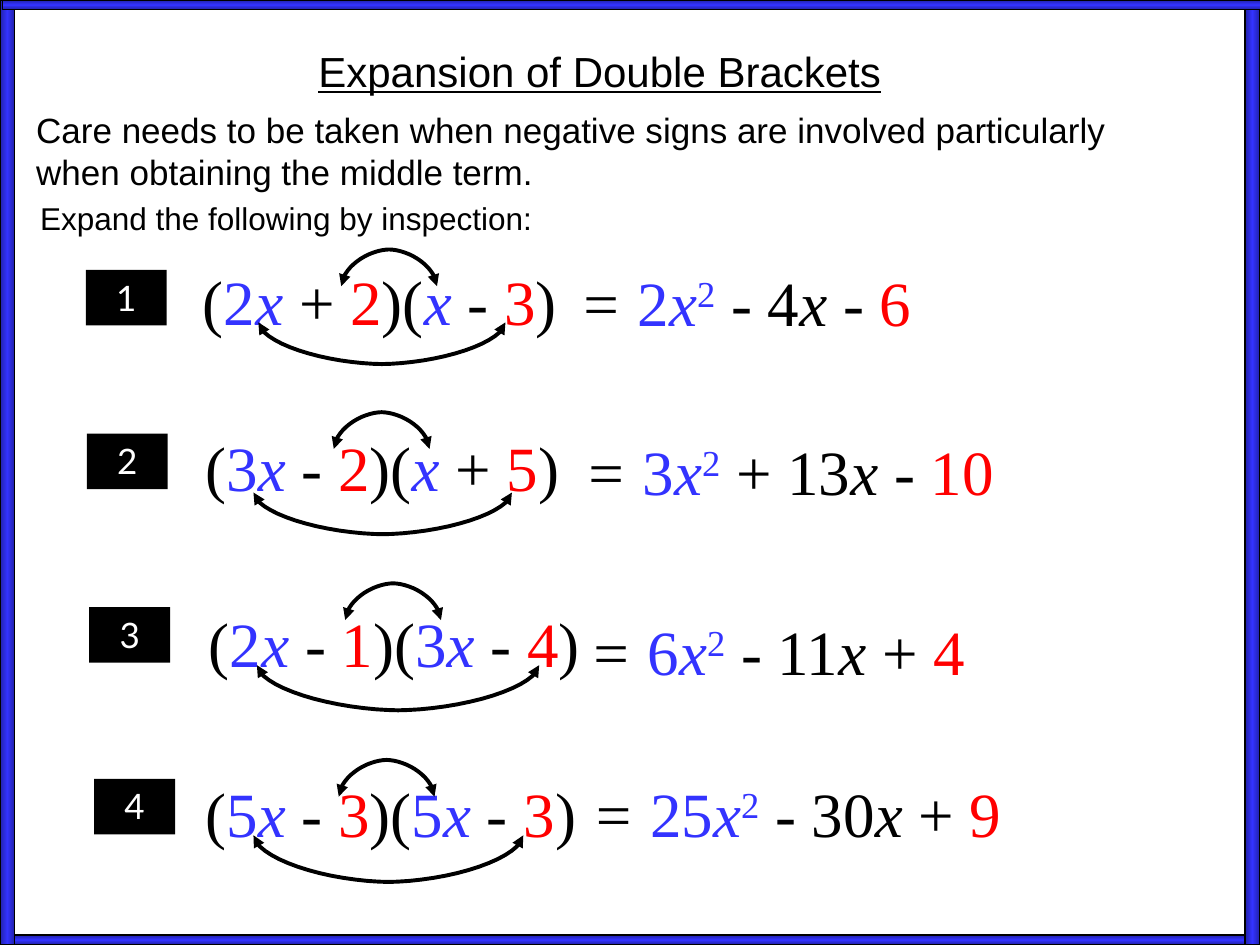
from copy import deepcopy
from math import cos, copysign, pi, sin

from lxml import etree
from pptx import Presentation
from pptx import util as u
from pptx.dml.color import RGBColor
from pptx.enum import shapes, text
from pptx.oxml.ns import qn

BLACK = RGBColor(0x00, 0x00, 0x00)
WHITE = RGBColor(0xFF, 0xFF, 0xFF)
BLUE = RGBColor(0x33, 0x33, 0xFF)
DARK_BLUE = RGBColor(0x21, 0x21, 0xA8)
RED = RGBColor(0xFF, 0x00, 0x00)

WIDTH, HEIGHT = 25.4, 19.05
ROUNDNESS = 1.75  # exponent of the superellipse behind each arc
STEPS = 32

# Each exercise: positions are (left, top[, width[, height]]) in centimetres
EXERCISES = [
    dict(badge=(1.73, 5.44), product=(3.84, 5.16), answer=(11.43, 5.18, 8.53),
         inner=(6.88, 5.03), outer=(5.21, 6.5, 4.98, 0.84),
         factors=[("2x", BLUE), (" + ", BLACK), ("2", RED), (")(", BLACK),
                  ("x", BLUE), (" - ", BLACK), ("3", RED)],
         expansion=[("2x^2", BLUE), (" - 4x - ", BLACK), ("6", RED)]),
    dict(badge=(1.75, 8.74), product=(3.89, 8.51), answer=(11.53, 8.59, 9.5),
         inner=(6.73, 8.31), outer=(5.11, 9.93, 5.21, 0.84),
         factors=[("3x", BLUE), (" - ", BLACK), ("2", RED), (")(", BLACK),
                  ("x", BLUE), (" + ", BLACK), ("5", RED)],
         expansion=[("3x^2", BLUE), (" + 13x - ", BLACK), ("10", RED)]),
    dict(badge=(1.8, 12.24), product=(3.96, 12.07), answer=(11.63, 12.22, 8.53),
         inner=(6.96, 11.76), outer=(5.18, 13.41, 5.69, 0.91),
         factors=[("2x", BLUE), (" - ", BLACK), ("1", RED), (")(", BLACK),
                  ("3x", BLUE), (" - ", BLACK), ("4", RED)],
         expansion=[("6x^2", BLUE), (" - 11x + ", BLACK), ("4", RED)]),
    dict(badge=(1.9, 15.7), product=(3.89, 15.49), answer=(11.68, 15.49, 9.27),
         inner=(6.83, 15.32), outer=(5.11, 16.84, 5.44, 0.94),
         factors=[("5x", BLUE), (" - ", BLACK), ("3", RED), (")(", BLACK),
                  ("5x", BLUE), (" - ", BLACK), ("3", RED)],
         expansion=[("25x^2", BLUE), (" - 30x + ", BLACK), ("9", RED)]),
]


def add_span(para, words, size, font, colour=BLACK):
    span = para.add_run()
    span.text = words
    span.font.size = u.Pt(size)
    span.font.name = font
    span.font.color.rgb = colour
    return span


def add_box(page, left, top, width, height):
    """Add a wrapping text box and return its first paragraph."""
    box = page.shapes.add_textbox(u.Cm(left), u.Cm(top), u.Cm(width), u.Cm(height))
    box.text_frame.word_wrap = True
    return box.text_frame.paragraphs[0]


def add_block(page, left, top, width, height):
    block = page.shapes.add_shape(shapes.MSO_SHAPE.RECTANGLE, u.Cm(left),
                                  u.Cm(top), u.Cm(width), u.Cm(height))
    block.shadow.inherit = False
    return block


def add_border_bar(page, left, top, width, height):
    """Add a bar that is lightest along its middle."""
    bar = add_block(page, left, top, width, height)
    bar.line.color.rgb = BLACK
    bar.line.width = u.Pt(0.75)
    bar.fill.gradient()
    bar.fill.gradient_angle = 90 if width > height else 180
    first, last = bar.fill.gradient_stops
    first.color.rgb = last.color.rgb = DARK_BLUE
    first.position, last.position = 0, 1
    stops = bar.fill._fill._gradFill.find(qn("a:gsLst"))
    stops.insert(1, deepcopy(stops[0]))
    middle = bar.fill.gradient_stops[1]
    middle.color.rgb = BLUE
    middle.position = 0.5


def add_badge(page, number, left, top):
    badge = add_block(page, left, top, 1.63, 1.12)
    badge.fill.solid()
    badge.fill.fore_color.rgb = BLACK
    badge.line.fill.background()
    frame = badge.text_frame
    frame.vertical_anchor = text.MSO_ANCHOR.TOP
    frame.paragraphs[0].alignment = text.PP_ALIGN.CENTER
    add_span(frame.paragraphs[0], str(number), 20, "Lato", WHITE)


def add_algebra(para, pieces):
    """Write coloured pieces with an italic x; ^ marks a power."""
    def write(words, colour):
        return add_span(para, words, 36, "Times New Roman", colour)

    for piece, colour in pieces:
        before, variable, after = piece.partition("x")
        if before:
            write(before, colour)
        if variable:
            write(variable, colour).font.italic = True
        if after.startswith("^"):
            power = write(after[1:], colour)
            power._r.get_or_add_rPr().set("baseline", "30000")
        elif after:
            write(after, colour)


def add_arc(page, left, top, width, height, upward):
    """Add a double-headed arc that bulges up or down."""
    points = []
    for step in range(STEPS + 1):
        angle = pi * step / STEPS
        across = -copysign(abs(cos(angle)) ** (2 / ROUNDNESS), cos(angle))
        bulge = abs(sin(angle)) ** (2 / ROUNDNESS)
        drop = 1 - bulge if upward else bulge
        points.append((u.Cm(left + width * (1 + across) / 2),
                       u.Cm(top + height * drop)))
    builder = page.shapes.build_freeform(*points[0])
    builder.add_line_segments(points[1:], close=False)
    arc = builder.convert_to_shape()
    arc.shadow.inherit = False
    arc.fill.background()
    arc.line.color.rgb = BLACK
    arc.line.width = u.Pt(2.25)
    outline = arc._element.spPr.find(qn("a:ln"))
    etree.SubElement(outline, qn("a:round"))
    for end in ("a:headEnd", "a:tailEnd"):
        etree.SubElement(outline, qn(end), type="triangle")


def add_exercise(page, number, exercise):
    add_algebra(add_box(page, *exercise["product"], 8.74, 1.78),
                [("(", BLACK), *exercise["factors"], (")", BLACK)])
    answer = add_box(page, *exercise["answer"], 1.78)
    add_span(answer, "= ", 36, "Times New Roman").font.italic = True
    add_algebra(answer, exercise["expansion"])
    add_arc(page, *exercise["inner"], 1.93, 0.74, upward=True)
    add_arc(page, *exercise["outer"], upward=False)
    add_badge(page, number, *exercise["badge"])


def main():
    deck = Presentation()
    deck.slide_width, deck.slide_height = u.Cm(WIDTH), u.Cm(HEIGHT)
    page = deck.slides.add_slide(deck.slide_layouts[6])

    # Border
    add_border_bar(page, 0, HEIGHT - 0.2, WIDTH, 0.2)
    add_border_bar(page, 0, 0, 0.3, HEIGHT)
    add_border_bar(page, WIDTH - 0.3, 0, 0.3, HEIGHT)
    add_border_bar(page, 0.05, 0, WIDTH, 0.2)

    # Title and instructions
    title = add_box(page, 6.17, 0.79, 12.09, 1.27)
    add_span(title, "Expansion of Double Brackets", 24, "Arial").font.underline = True
    add_span(add_box(page, 0.48, 2.06, 23.85, 1.96),
             "Care needs to be taken when negative signs are involved "
             "particularly when obtaining the middle term.", 20, "Arial")
    add_span(add_box(page, 0.56, 3.89, 14.6, 1.02),
             "Expand the following by inspection:", 18, "Arial")

    # Exercises
    for number, exercise in enumerate(EXERCISES, start=1):
        add_exercise(page, number, exercise)

    deck.save("out.pptx")


if __name__ == "__main__":
    main()
